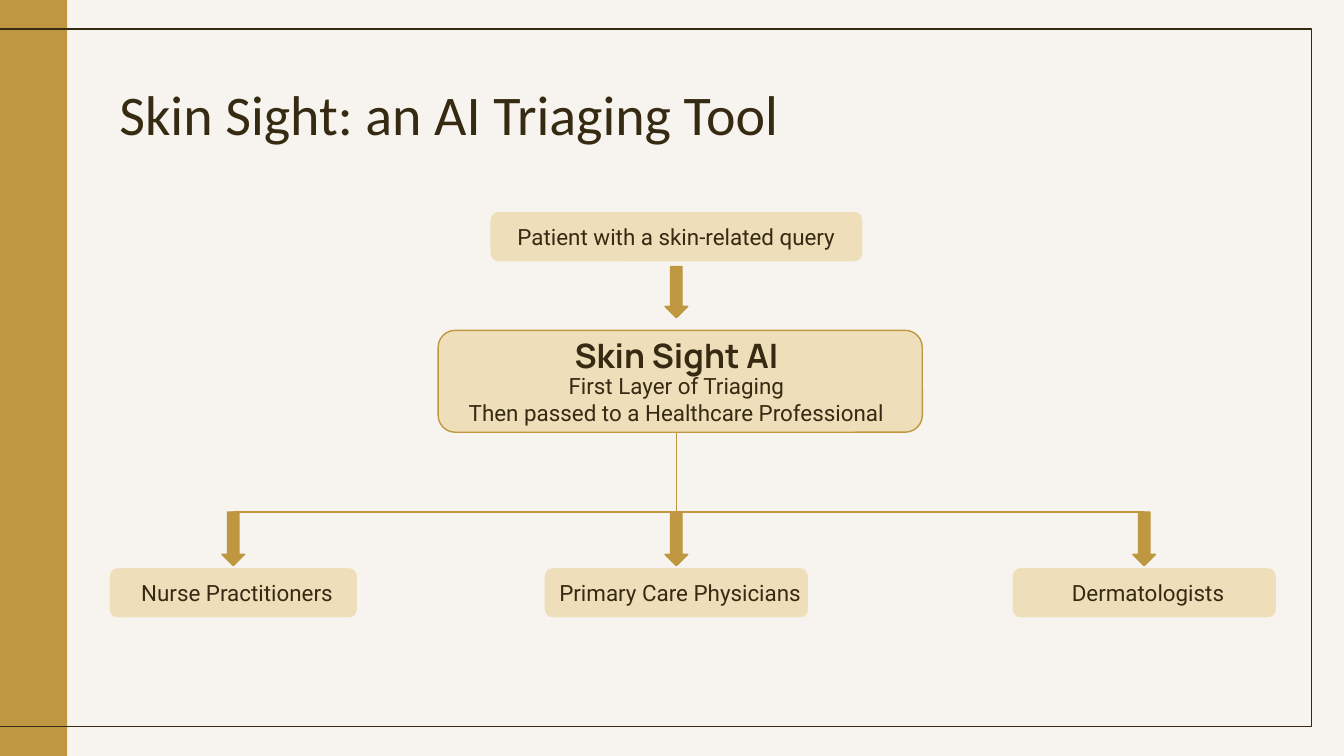
from pptx import Presentation
from pptx.dml.color import RGBColor
from pptx.enum.shapes import MSO_CONNECTOR, MSO_SHAPE
from pptx.enum.text import MSO_ANCHOR, PP_ALIGN
from pptx.oxml import parse_xml
from pptx.oxml.ns import nsdecls
from pptx.util import Pt

PAPER = RGBColor(0xF7, 0xF4, 0xEF)
GOLD = RGBColor(0xBF, 0x97, 0x40)
SAND = RGBColor(0xEF, 0xDE, 0xBA)
INK = RGBColor(0x36, 0x2B, 0x12)


class TriageSlide:
    line_width = Pt(0.75)
    inset = Pt(7.2)

    def __init__(self, slide):
        self.slide = slide
        slide.background.fill.solid()
        slide.background.fill.fore_color.rgb = PAPER

    def shape(self, preset, left, top, width, height, fill=None, line=None):
        shape = self.slide.shapes.add_shape(
            preset, Pt(left), Pt(top), Pt(width), Pt(height))
        shape.shadow.inherit = False
        if fill is None:
            shape.fill.background()
        else:
            shape.fill.solid()
            shape.fill.fore_color.rgb = fill
        if line is None:
            shape.line.fill.background()
        else:
            shape.line.color.rgb = line
            shape.line.width = self.line_width
        return shape

    def card(self, center, top, width, height, line=PAPER):
        return self.shape(MSO_SHAPE.ROUNDED_RECTANGLE, center - width / 2, top,
                          width, height, SAND, line)

    def arrow(self, center, top, height):
        width = 12.2
        return self.shape(MSO_SHAPE.DOWN_ARROW, center - width / 2, top,
                          width, height, GOLD, GOLD)

    def line(self, x1, y1, x2, y2):
        line = self.slide.shapes.add_connector(
            MSO_CONNECTOR.STRAIGHT, Pt(x1), Pt(y1), Pt(x2), Pt(y2))
        line.line.color.rgb = GOLD
        line.line.width = self.line_width
        line._element.spPr.append(parse_xml(f"<a:effectLst {nsdecls('a')}/>"))
        return line

    def text(self, wording, center, top, width, height, size=12, font="Roboto",
             bold=False, align=PP_ALIGN.CENTER, anchor=MSO_ANCHOR.TOP):
        box = self.slide.shapes.add_textbox(
            Pt(center - width / 2), Pt(top), Pt(width), Pt(height))
        frame = box.text_frame
        frame.word_wrap = True
        frame.vertical_anchor = anchor
        frame.margin_left = frame.margin_right = self.inset
        frame.margin_top = frame.margin_bottom = self.inset
        frame.text = wording
        for paragraph in frame.paragraphs:
            paragraph.alignment = align
            for run in paragraph.runs:
                run.font.name = font
                run.font.size = Pt(size)
                run.font.bold = bold
                run.font.color.rgb = INK
        return box


def main():
    deck = Presentation()
    deck.slide_width, deck.slide_height = Pt(720), Pt(405)
    triage = TriageSlide(deck.slides.add_slide(deck.slide_layouts[6]))

    triage.shape(MSO_SHAPE.RECTANGLE, 0, 0, 36, 405, fill=GOLD)
    triage.shape(MSO_SHAPE.RECTANGLE, -10.8, 15.6, 713.4, 373.6, line=INK)
    triage.text("Skin Sight: an AI Triaging Tool", 360.4, 35.3, 607, 45.4,
                size=30, font="Calibri", align=PP_ALIGN.LEFT)

    trunk = 362.4
    branch_top = 274.3
    professionals = [
        ("Nurse Practitioners", 125, 133.2),
        ("Primary Care Physicians", trunk, 141.8),
        ("Dermatologists", 613, 141.8),
    ]

    triage.card(trunk, 113.2, 200, 27.2)
    triage.text("Patient with a skin-related query", trunk, 112.3, 205, 27.4)
    triage.arrow(trunk, 142.8, 27.4)

    triage.card(364.4, 177, 259.4, 54.6, line=GOLD)
    triage.text("First Layer of Triaging\nThen passed to a Healthcare Professional",
                trunk, 192.2, 322.6, 38.9)
    triage.text("Skin Sight AI", trunk, 179.3, 164.2, 28.8, size=18,
                font="Manrope", bold=True, anchor=MSO_ANCHOR.BOTTOM)

    triage.line(trunk, 231.6, trunk, branch_top)
    triage.line(professionals[0][1], branch_top, professionals[-1][1], branch_top)
    for role, center, width in professionals:
        triage.arrow(center, branch_top, 28.8)
        triage.card(center, 304, width, 27.2)
        triage.text(role, center + 2, 303.1, 164.2, 28.8)

    deck.save("out.pptx")


if __name__ == "__main__":
    main()
